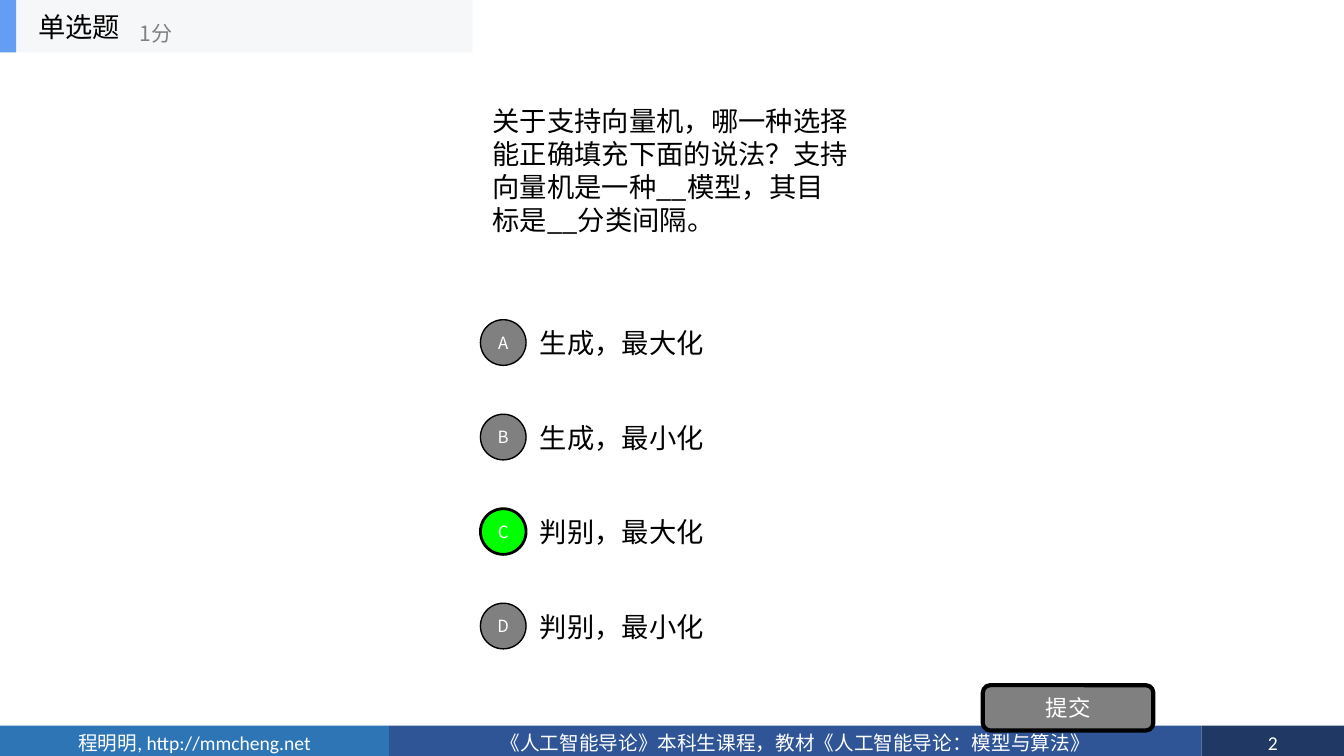
from lxml.etree import SubElement
from pptx import Presentation
from pptx.dml.color import RGBColor
from pptx.enum.shapes import MSO_SHAPE as SHAPE
from pptx.enum.text import MSO_ANCHOR as ANCHOR, MSO_AUTO_SIZE as AUTO, PP_ALIGN as ALIGN
from pptx.oxml.ns import qn
from pptx.util import Pt

SANS = "Noto Sans CJK SC"
WHITE, BLACK, GRAY, GREEN = "FFFFFF", "000000", "808080", "00FF00"


def color(value):
    return RGBColor.from_string(value)


def write(sp, text, size, fill=BLACK, font=SANS, align=ALIGN.LEFT):
    tf = sp.text_frame
    tf.word_wrap = True
    tf.auto_size = AUTO.NONE
    tf.vertical_anchor = ANCHOR.MIDDLE
    p = tf.paragraphs[0]
    p.alignment = align
    r = p.add_run()
    r.text = text
    r.font.size = Pt(size)
    r.font.color.rgb = color(fill)
    r.font.name = font
    SubElement(r.font._element, qn("a:ea"), typeface=SANS)


def add_text(s, box, text, size, fill=BLACK):
    sp = s.shapes.add_textbox(*map(Pt, box))
    write(sp, text, size, fill)


def add_block(s, kind, box, fill, line=0):
    sp = s.shapes.add_shape(kind, *map(Pt, box))
    sp.shadow.inherit = False
    sp.fill.solid()
    sp.fill.fore_color.rgb = color(fill)
    if line:
        sp.line.color.rgb = color(BLACK)
        sp.line.width = Pt(line)
    else:
        sp.line.fill.background()
    return sp


def add_footer(s, x, y, w, h):
    sections = [
        (0, 278, "2E75B6", "程明明, http://mmcheng.net"),
        (278, 858.4, "2F5597", "《人工智能导论》本科生课程，教材《人工智能导论：模型与算法》"),
        (858.4, w, "203864", "2"),
    ]
    for left, right, fill, text in sections:
        sp = add_block(s, SHAPE.RECTANGLE, (x + left, y, right - left, h), fill)
        write(sp, text, 14, WHITE, "Calibri", ALIGN.CENTER)


def add_header(s, x, y, w, h):
    add_block(s, SHAPE.RECTANGLE, (x, y, w, h), "F6F7F8")
    add_block(s, SHAPE.RECTANGLE, (x, y, 11.5, h), "639EF4")
    title = s.shapes.title
    title.left, title.top, title.width, title.height = map(Pt, (x + 20, y, 112, h))
    write(title, "单选题", 19.5)
    s.shapes.element.append(title.element)
    add_text(s, (x + 92.9, y + 8.6, 135.4, 30.2), "1分", 15, GRAY)


def add_options(s, x, y, w, h, options, answer):
    pitch, d, indent = 67.5, 32.6, 35.3
    for i, text in enumerate(options):
        letter, top = "ABCD"[i], y + i * pitch
        chosen = letter == answer
        add_text(s, (x + indent, top, w - indent, h), text, 19.5)
        sp = add_block(s, SHAPE.OVAL, (x, top + (h - d) / 2, d, d),
                       GREEN if chosen else GRAY, 2 if chosen else 1)
        sp.text_frame.margin_left = sp.text_frame.margin_right = 0
        write(sp, letter, 12, WHITE, align=ALIGN.CENTER)


def add_submit(s, x, y, w, h):
    sp = add_block(s, SHAPE.ROUNDED_RECTANGLE, (x, y, w, h), GRAY, 3)
    write(sp, "提交", 16, WHITE, align=ALIGN.CENTER)


def main():
    prs = Presentation()
    prs.slide_width, prs.slide_height = Pt(960), Pt(540)
    s = prs.slides.add_slide(prs.slide_layouts[5])
    add_footer(s, 0, 518.4, 960, 24.2)
    add_text(s, (344.6, 37.4, 270, 168.5),
             "关于支持向量机，哪一种选择能正确填充下面的说法？支持向量机是一种__模型，其目标是__分类间隔。", 19.5)
    options = ["生成，最大化", "生成，最小化", "判别，最大化", "判别，最小化"]
    add_options(s, 343.2, 219.4, 271.5, 50.6, options, "C")
    add_submit(s, 702, 489.4, 121.8, 32.4)
    add_header(s, 0, 0, 337.5, 37.5)
    prs.save("out.pptx")


if __name__ == "__main__":
    main()
